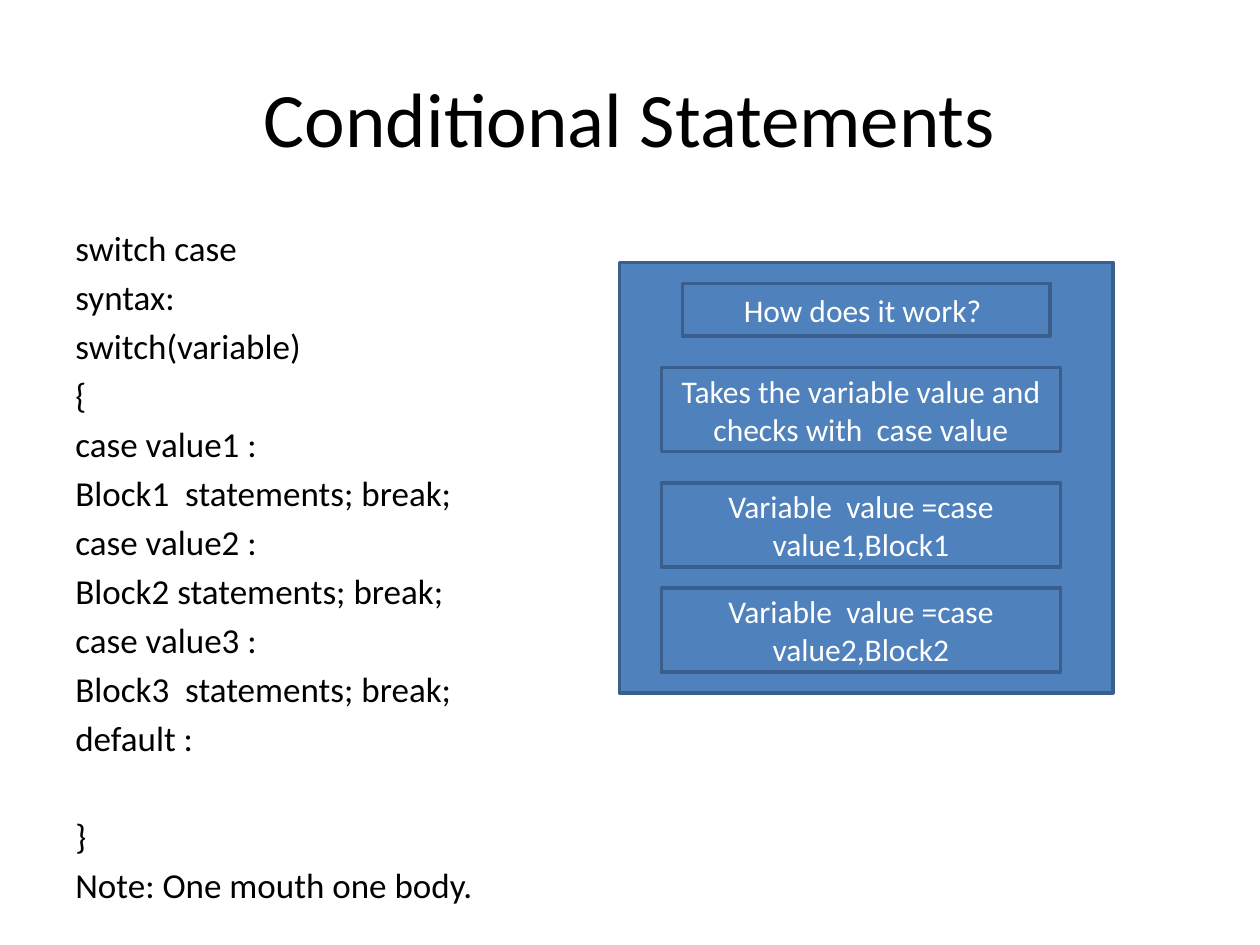
"""Build a slide on the switch case statement and how it works."""
from dataclasses import dataclass

from pptx import Presentation
from pptx.dml.color import RGBColor
from pptx.enum.shapes import MSO_SHAPE
from pptx.enum.text import MSO_ANCHOR, PP_ALIGN
from pptx.util import Pt

HEADING = "Conditional Statements"
SYNTAX = [
    "switch case",
    "syntax:",
    "switch(variable)",
    "{",
    "case value1 :",
    "Block1  statements; break;",
    "case value2 :",
    "Block2 statements; break;",
    "case value3 :",
    "Block3  statements; break;",
    "default :",
    "}",
    "Note: One mouth one body.",
]
PANEL = (354, 150, 282, 246)
QUESTION = ("How does it work? ", (390, 162, 210, 30))
STEPS = [
    ("Takes the variable value and checks with  case value", 210),
    ("Variable  value =case value1,Block1", 276),
    ("Variable  value =case value2,Block2", 336),
]
STEP_LEFT, STEP_WIDTH, STEP_HEIGHT = 378, 228, 48
LINE_GAP, CLOSING_GAP = 4, 32


@dataclass(frozen=True)
class Theme:
    font: str = "Calibri"
    ink: RGBColor = RGBColor(0, 0, 0)
    light: RGBColor = RGBColor(255, 255, 255)
    fill: RGBColor = RGBColor.from_string("4F81BD")
    edge: RGBColor = RGBColor.from_string("3A5F8C")
    heading: int = 44
    syntax: int = 20
    step: int = 18


THEME = Theme()


def style(paragraph, size, color, align):
    paragraph.alignment = align
    paragraph.font.name = THEME.font
    paragraph.font.size = Pt(size)
    paragraph.font.color.rgb = color


def add_text(slide, lines, bounds, size, align, anchor):
    frame = slide.shapes.add_textbox(*map(Pt, bounds)).text_frame
    frame.word_wrap = True
    frame.vertical_anchor = anchor
    frame.text = "\n".join(lines)
    for paragraph in frame.paragraphs:
        style(paragraph, size, THEME.ink, align)
    return frame


def add_block(slide, bounds, text=""):
    block = slide.shapes.add_shape(MSO_SHAPE.RECTANGLE, *map(Pt, bounds))
    block.shadow.inherit = False
    block.fill.solid()
    block.fill.fore_color.rgb = THEME.fill
    block.line.color.rgb = THEME.edge
    block.line.width = Pt(2)
    if text:
        frame = block.text_frame
        frame.word_wrap = True
        frame.vertical_anchor = MSO_ANCHOR.MIDDLE
        frame.text = text
        style(frame.paragraphs[0], THEME.step, THEME.light, PP_ALIGN.CENTER)


def main():
    deck = Presentation()
    deck.slide_width, deck.slide_height = Pt(720), Pt(540)
    slide = deck.slides.add_slide(deck.slide_layouts[6])

    add_text(slide, [HEADING], (36, 21.6, 648, 90), THEME.heading,
             PP_ALIGN.CENTER, MSO_ANCHOR.MIDDLE)
    syntax = add_text(slide, SYNTAX, (36, 126, 648, 356.4), THEME.syntax,
                      PP_ALIGN.LEFT, MSO_ANCHOR.TOP)
    for paragraph in syntax.paragraphs:
        closing = paragraph.text == "}"
        paragraph.space_before = Pt(CLOSING_GAP if closing else LINE_GAP)

    add_block(slide, PANEL)
    question, bounds = QUESTION
    add_block(slide, bounds, question)
    for step, top in STEPS:
        add_block(slide, (STEP_LEFT, top, STEP_WIDTH, STEP_HEIGHT), step)

    deck.save("out.pptx")


if __name__ == "__main__":
    main()
